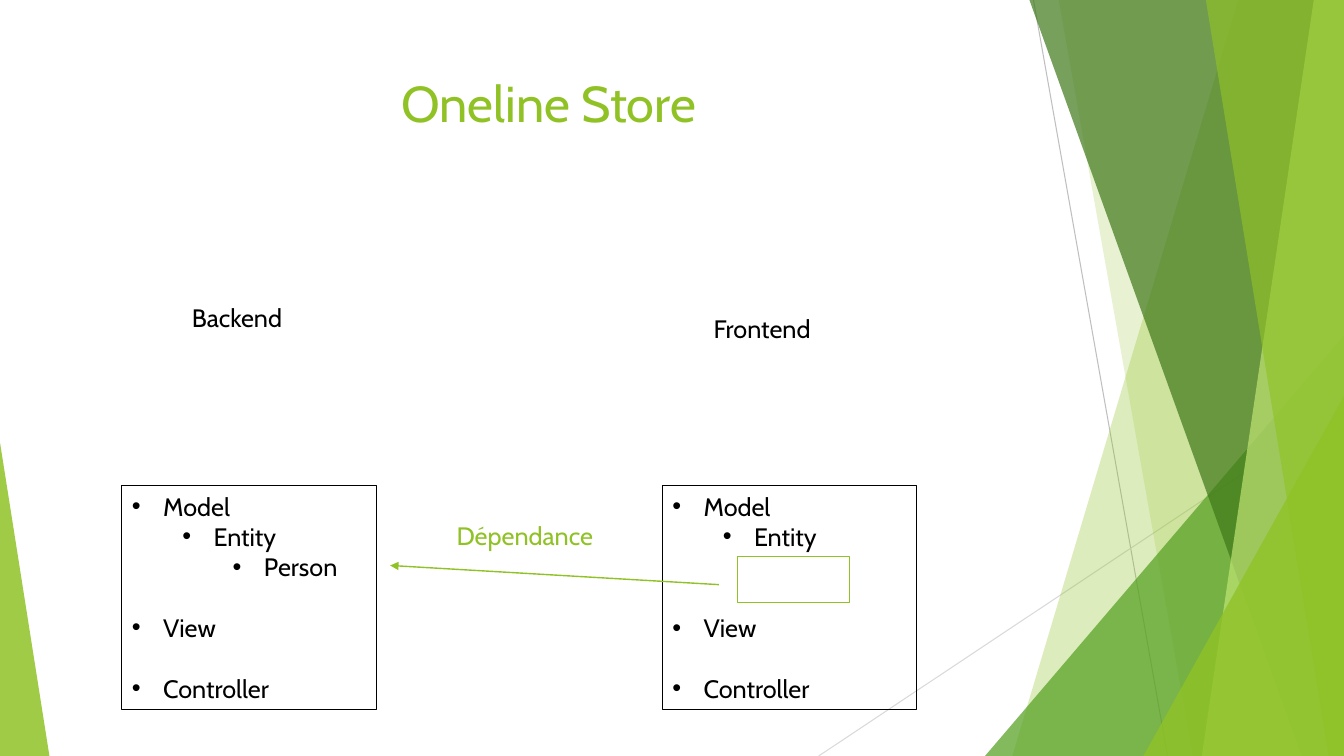
from lxml import etree
from pptx import Presentation
from pptx.dml.color import RGBColor
from pptx.enum.shapes import MSO_CONNECTOR as Connector, MSO_SHAPE as Shape
from pptx.enum.text import MSO_ANCHOR as Anchor, PP_ALIGN as Align
from pptx.oxml.ns import qn
from pptx.util import Inches, Pt

# Content
TITLE = "Oneline Store"
FONT, GREEN, BLACK = "Cabin", "90C226", "000000"
LABELS = [  # text, left, top, width, colour, alignment
    ("Backend", 1.14, 2.95, 2.42, BLACK, Align.CENTER),
    ("Frontend", 6.98, 3.06, 2.74, BLACK, Align.LEFT),
    ("Dépendance", 4.43, 5.11, 1.94, GREEN, Align.LEFT),
]
TIERS = [  # left, items as (text, level, lines left free above)
    (1.21, [("Model", 0, 0), ("Entity", 1, 0), ("Person", 2, 0),
            ("View", 0, 1), ("Controller", 0, 1)]),
    (6.57, [("Model", 0, 0), ("Entity", 1, 0),
            ("View", 0, 2), ("Controller", 0, 1)]),
]
TIER_TOP, TIER_WIDTH, TIER_HEIGHT = 4.82, 2.52, 2.22
LINE_HEIGHT = 21.8  # points
MISSING_PERSON = (7.31, 5.52, 1.12, 0.46)
DEPENDENCY = (7.13, 5.8, 3.87, 5.61)

# Background decoration, from back to front
WIDTH, HEIGHT = 13.33, 7.5
RAYS = [(10.25, 0, 11.58, HEIGHT, "BFBFBF"), (WIDTH, 4.03, 8.12, HEIGHT, "D9D9D9")]
FACETS = [  # band: top x, bottom x; triangle: left, top, width, apex; then colour, opacity
    ((12.28, 10.04), GREEN, 30),
    ((10.5, 11.83), GREEN, 20),
    ((9.77, 3.33, 3.56, 1), "54A021", 72),
    ((10.21, 12.91), "3F7819", 70),
    ((13.03, 11.92), "C0E474", 70),
    ((11.96, 13.18), GREEN, 65),
    ((11.34, 3.93, 1.99, 1), GREEN, 80),
    ((0, 4.39, 0.49, 0), GREEN, 85),
]

presentation = Presentation()
presentation.slide_width, presentation.slide_height = Inches(WIDTH), Inches(HEIGHT)
slide = presentation.slides.add_slide(presentation.slide_layouts[5])
shapes = slide.shapes


def paint(color_format, color):
    color_format.rgb = RGBColor.from_string(color)


def write(paragraph, text, size=18, color=BLACK, align=Align.LEFT):
    paragraph.alignment = align
    run = paragraph.add_run()
    run.text = text
    run.font.name, run.font.size = FONT, Pt(size)
    paint(run.font.color, color)


def add_bullet(paragraph, level):
    paragraph.level = level
    properties = paragraph._p.get_or_add_pPr()
    properties.set("marL", str(Inches(0.31 + 0.5 * level)))
    properties.set("indent", str(Inches(-0.31)))
    etree.SubElement(properties, qn("a:buFont")).set("typeface", "Arial")
    etree.SubElement(properties, qn("a:buChar")).set("char", "•")


def add_line(x1, y1, x2, y2, color, width=0.75, arrow=False):
    line = shapes.add_connector(Connector.STRAIGHT, *map(Inches, (x1, y1, x2, y2)))
    paint(line.line.color, color)
    line.line.width = Pt(width)
    if arrow:
        etree.SubElement(line.line._get_or_add_ln(), qn("a:tailEnd")).set("type", "triangle")
    etree.SubElement(line._element.spPr, qn("a:effectLst"))


def add_facet(geometry, color, opacity):
    if len(geometry) == 2:
        top_x, bottom_x = geometry
        builder = shapes.build_freeform(Inches(top_x), 0)
        corners = [(WIDTH, 0), (WIDTH, HEIGHT), (bottom_x, HEIGHT)]
        builder.add_line_segments([(Inches(x), Inches(y)) for x, y in corners])
        facet = builder.convert_to_shape()
    else:
        left, top, width, apex = geometry
        facet = shapes.add_shape(Shape.ISOSCELES_TRIANGLE,
                                 *map(Inches, (left, top, width, HEIGHT - top)))
        facet.adjustments[0] = apex
    facet.shadow.inherit = False
    facet.fill.solid()
    paint(facet.fill.fore_color, color)
    facet.line.fill.background()
    color_element = facet._element.spPr.find(qn("a:solidFill"))[0]
    etree.SubElement(color_element, qn("a:alpha")).set("val", str(opacity * 1000))


def add_frame(left, top, width, height, color):
    frame = shapes.add_shape(Shape.RECTANGLE, *map(Inches, (left, top, width, height)))
    frame.shadow.inherit = False
    frame.fill.background()
    paint(frame.line.color, color)
    frame.line.width = Pt(0.75)
    return frame


# Background
for ray in RAYS:
    add_line(*ray)
for facet_data in FACETS:
    add_facet(*facet_data)

# Title
title = shapes.title
title.left, title.top, title.width, title.height = map(Inches, (0.74, 0.67, 9.4, 1.44))
title.text_frame.vertical_anchor = Anchor.TOP
write(title.text_frame.paragraphs[0], TITLE, size=36, color=GREEN, align=Align.CENTER)

# Backend and frontend boxes
for left, items in TIERS:
    text_frame = add_frame(left, TIER_TOP, TIER_WIDTH, TIER_HEIGHT, BLACK).text_frame
    text_frame.word_wrap = True
    text_frame.vertical_anchor = Anchor.TOP
    for index, (text, level, free_lines) in enumerate(items):
        paragraph = text_frame.add_paragraph() if index else text_frame.paragraphs[0]
        paragraph.space_before = Pt(free_lines * LINE_HEIGHT)
        add_bullet(paragraph, level)
        write(paragraph, text)

# Dependency from the frontend to the backend
add_frame(*MISSING_PERSON, GREEN)
add_line(*DEPENDENCY, GREEN, width=1, arrow=True)

# Labels
for text, left, top, width, color, align in LABELS:
    label = shapes.add_textbox(*map(Inches, (left, top, width, 0.4)))
    label.text_frame.word_wrap = True
    write(label.text_frame.paragraphs[0], text, color=color, align=align)

presentation.save("out.pptx")
